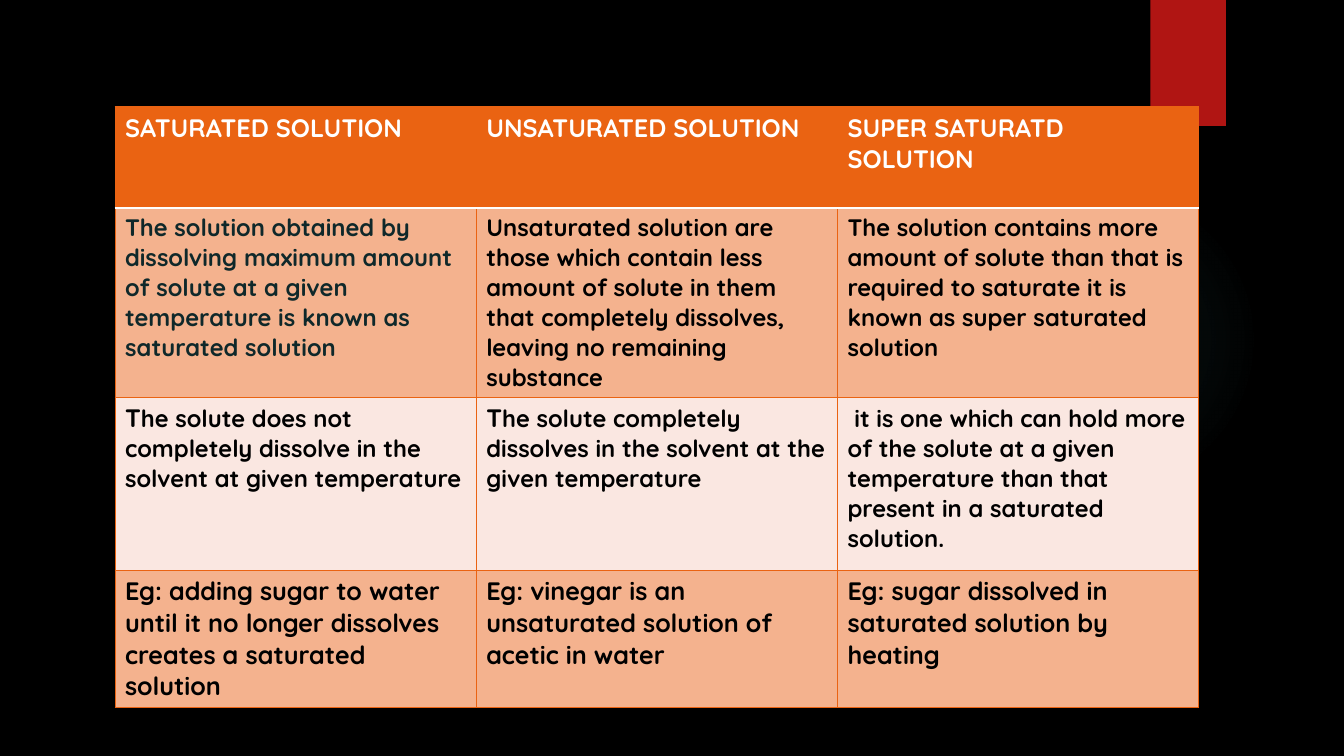
from lxml import etree
from pptx import Presentation
from pptx import util as u
from pptx.dml.color import RGBColor
from pptx.enum import shapes
from pptx.oxml import parse_xml
from pptx.oxml.ns import nsdecls, qn

HEADINGS = ["SATURATED SOLUTION", "UNSATURATED SOLUTION", "SUPER SATURATD SOLUTION"]
DEFINITIONS = [
    "The solution obtained by dissolving maximum amount of solute at a given "
    "temperature is known as saturated solution",
    "Unsaturated solution are those which contain less amount of solute in them "
    "that completely dissolves, leaving no remaining substance",
    "The solution contains more amount of solute than that is required to saturate "
    "it is known as super saturated solution",
]
BEHAVIOURS = [
    "The solute does not completely dissolve in the solvent at given temperature",
    "The solute completely dissolves in the solvent at the given temperature",
    " it is one which can hold more of the solute at a given temperature than that "
    "present in a saturated solution.",
]
EXAMPLES = [
    "Eg: adding sugar to water until it no longer dissolves creates a saturated solution",
    "Eg: vinegar is an unsaturated solution of acetic in water",
    "Eg: sugar dissolved in saturated solution by heating",
]

THEME = {
    "font": "Quicksand", "large": 18, "small": 17,
    "back": "000000", "ribbon": "B01513", "glow": "50B9C1",
    "orange": "EA6312", "peach": "F4B28E", "blush": "FAE7E1",
    "white": "FFFFFF", "black": "000000", "teal": "0F282A",
}
# texts, row height, cell fill, text colours by column, type size, large first letter
ROWS = [
    (HEADINGS, 1.0, "orange", ["white"] * 3, "large", False),
    (DEFINITIONS, 1.88, "peach", ["teal", "black", "black"], "small", False),
    (BEHAVIOURS, 1.72, "blush", ["black"] * 3, "small", True),
    (EXAMPLES, 1.36, "peach", ["black"] * 3, "large", False),
]
TABLE_LEFT, TABLE_TOP, TABLE_WIDTH = 1.14, 1.06, 10.75
GLOW_STOPS = [(0, 7), (36, 6), (69, 0)]  # position and opacity in percent


def colour(name):
    """Return a theme colour."""
    return RGBColor.from_string(THEME[name])


def add_plain_shape(page, kind, *place):
    """Add a shape without line or shadow at a place given in inches."""
    shape = page.shapes.add_shape(kind, *map(u.Inches, place))
    shape.shadow.inherit = False
    shape.line.fill.background()
    return shape


def fill_with_glow(shape):
    """Fill a shape with a radial gradient that fades out."""
    shape.fill.background()
    stops = "".join(
        f'<a:gs pos="{position * 1000}"><a:srgbClr val="{THEME["glow"]}">'
        f'<a:alpha val="{opacity * 1000}"/></a:srgbClr></a:gs>'
        for position, opacity in GLOW_STOPS)
    gradient = parse_xml(
        f'<a:gradFill {nsdecls("a")}><a:gsLst>{stops}</a:gsLst><a:path path="circle">'
        '<a:fillToRect l="50000" t="50000" r="50000" b="50000"/></a:path></a:gradFill>')
    properties = shape.element.spPr
    properties.replace(properties.find(qn("a:noFill")), gradient)


def set_borders(cell, edges):
    """Draw the cell edges, given as side: (colour name, points)."""
    properties = cell._tc.get_or_add_tcPr()
    for side, (name, points) in edges.items():
        line = etree.SubElement(properties, qn(f"a:ln{side}"), w=str(u.Pt(points)))
        fill = etree.SubElement(line, qn("a:solidFill"))
        etree.SubElement(fill, qn("a:srgbClr"), val=THEME[name])


def write_cell(cell, spans, ink):
    """Write (text, type size, bold) spans into a cell."""
    para = cell.text_frame.paragraphs[0]
    for words, size, bold in spans:
        span = para.add_run()
        span.text = words
        formats = {"name": THEME["font"], "size": u.Pt(THEME[size]), "bold": bold}
        for key, value in formats.items():
            setattr(span.font, key, value)
        span.font.color.rgb = colour(ink)


def add_comparison(page):
    """Add the table that compares the three kinds of solution."""
    heights = [row[1] for row in ROWS]
    place = (TABLE_LEFT, TABLE_TOP, TABLE_WIDTH, sum(heights))
    table = page.shapes.add_table(len(ROWS), len(HEADINGS), *map(u.Inches, place)).table
    table.first_row = table.horz_banding = False
    for column in table.columns:
        column.width = u.Inches(TABLE_WIDTH / len(HEADINGS))
    for r, (texts, height, fill, inks, size, large_initial) in enumerate(ROWS):
        table.rows[r].height = u.Inches(height)
        edges = dict.fromkeys("LRTB", ("orange", 0.75))
        if r < 2:
            edges["B" if r == 0 else "T"] = ("white", 1.5)
        for c, (words, ink) in enumerate(zip(texts, inks)):
            cell = table.cell(r, c)
            set_borders(cell, edges)
            cell.fill.solid()
            cell.fill.fore_color.rgb = colour(fill)
            spans = [(words, size, True)]
            if large_initial:
                spans = [(words[0], "large", words[0] != " "), (words[1:], size, True)]
            write_cell(cell, spans, ink)


def build():
    """Build and save the slide."""
    deck = Presentation()
    deck.slide_width, deck.slide_height = u.Inches(13.33), u.Inches(7.5)
    page = deck.slides.add_slide(deck.slide_layouts[6])
    page.background.fill.solid()
    page.background.fill.fore_color.rgb = colour("back")
    glow = add_plain_shape(page, shapes.MSO_SHAPE.OVAL, 9.41, 1.83, 3.08, 3.08)
    fill_with_glow(glow)
    ribbon = add_plain_shape(page, shapes.MSO_SHAPE.RECTANGLE, 11.41, 0, 0.75, 1.25)
    ribbon.fill.solid()
    ribbon.fill.fore_color.rgb = colour("ribbon")
    add_comparison(page)
    deck.save("out.pptx")


build()
